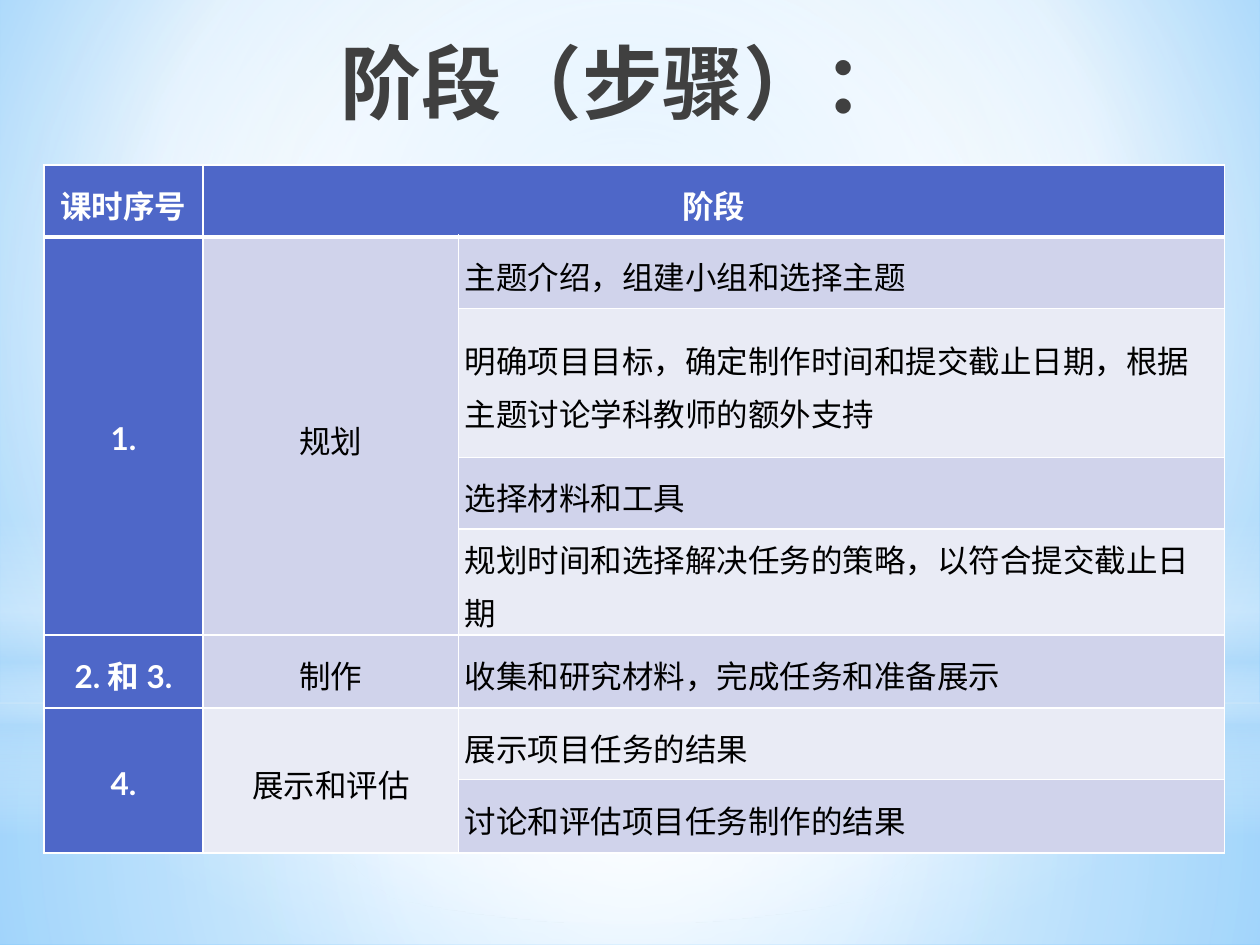
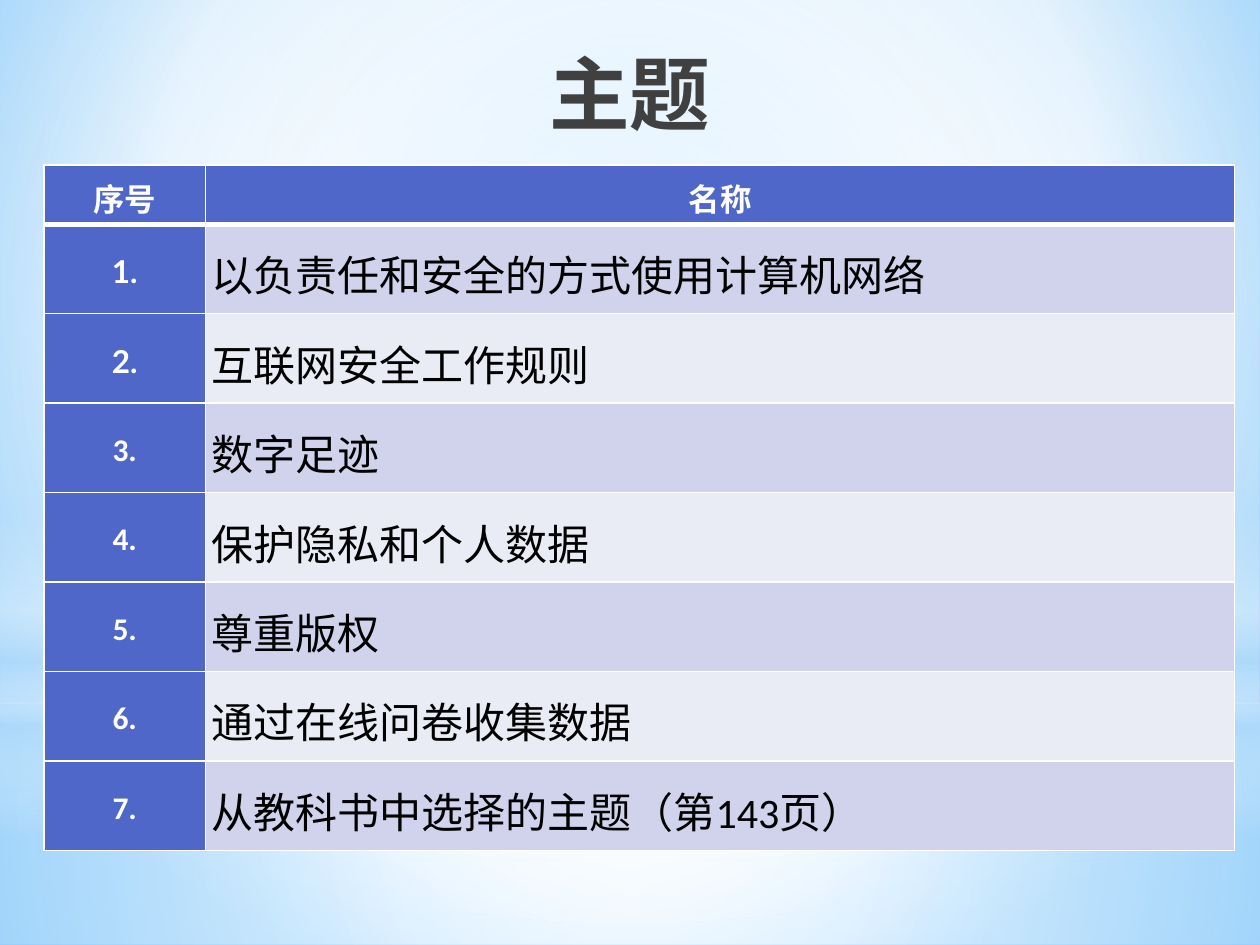
from lxml import etree
from pptx import Presentation
from pptx.enum.shapes import MSO_SHAPE
from pptx.enum.text import MSO_ANCHOR, PP_ALIGN
from pptx.dml.color import RGBColor
from pptx.oxml.ns import qn
from pptx.util import Inches, Pt

RECTANGLE, OVAL = MSO_SHAPE.RECTANGLE, MSO_SHAPE.OVAL
TOP, MIDDLE = MSO_ANCHOR.TOP, MSO_ANCHOR.MIDDLE
LEFT, CENTER = PP_ALIGN.LEFT, PP_ALIGN.CENTER

WIDTH, HEIGHT = 10, 7.5
BLANK_LAYOUT = 6
FIRST_BACKDROP_ID = 101
HEADING_FONT, BODY_FONT = "Lato", "Calibri"
WHITE, BLACK, ACCENT = "FFFFFF", "000000", "4E67C8"
MIST = "B4DCFA"
BANDS = ("E9EBF5", "D0D3EB")
TABLE_LEFT, TABLE_TOP = 0.35, 1.31

CENTERED = (50, 50, 50, 50)
SKY = [(0, "9ED5FF", 100), (60, WHITE, 100), (100, "5BB9FF", 100)]
TITLE_INK = [(0, BLACK, 100), (40, "404040", 100), (100, "212745", 65)]
GROUND = [(0, WHITE, 91), (37, WHITE, 76), (100, MIST, 79)]
HAZE = [(0, WHITE, 89), (48, WHITE, 62), (100, MIST, 79)]
HORIZON = [(0, WHITE, 0), (29, WHITE, 30), (45, MIST, 40),
           (55, WHITE, 26), (65, MIST, 60), (100, WHITE, 0)]
GLOW = [(0, WHITE, 100), (56, WHITE, 0)]

STAGES = [
    ("课时序号", "阶段", None),
    ("1.", "规划", "主题介绍，组建小组和选择主题"),
    (None, None, "明确项目目标，确定制作时间和提交截止日期，根据主题讨论学科教师的额外支持"),
    (None, None, "选择材料和工具"),
    (None, None, "规划时间和选择解决任务的策略，以符合提交截止日期"),
    ("2. 和 3.", "制作", "收集和研究材料，完成任务和准备展示"),
    ("4.", "展示和评估", "展示项目任务的结果"),
    (None, None, "讨论和评估项目任务制作的结果"),
]
STAGE_MERGES = [((0, 1), (0, 2)), ((1, 0), (4, 0)), ((1, 1), (4, 1)),
                ((6, 0), (7, 0)), ((6, 1), (7, 1))]
TOPICS = ["以负责任和安全的方式使用计算机网络", "互联网安全工作规则", "数字足迹",
          "保护隐私和个人数据", "尊重版权", "通过在线问卷收集数据",
          "从教科书中选择的主题（第143页）"]


def color(value):
    return RGBColor.from_string(value)


def add_node(parent, tag, **attributes):
    node = etree.SubElement(parent, qn(tag))
    for name, value in attributes.items():
        node.set(name, str(value))
    return node


def paint_gradient(fill, owner, stops, focus=None):
    fill.gradient()
    gradient = next(owner.iter(qn("a:gradFill")))
    for child in list(gradient):
        gradient.remove(child)
    stop_list = add_node(gradient, "a:gsLst")
    for position, value, opacity in stops:
        stop = add_node(stop_list, "a:gs", pos=position * 1000)
        tint = add_node(stop, "a:srgbClr", val=value)
        if opacity < 100:
            add_node(tint, "a:alpha", val=opacity * 1000)
    if focus:
        route = add_node(gradient, "a:path")
        route.set("path", "circle")
        sides = {side: share * 1000 for side, share in zip("ltrb", focus)}
        add_node(route, "a:fillToRect", **sides)
    else:
        add_node(gradient, "a:lin", ang=5400000, scaled=0)


def build_backdrop(master, slide):
    paint_gradient(master.background.fill, master.element, SKY, (20, 10, 20, 60))
    layers = [
        (RECTANGLE, 0.744, 0.256, GROUND, CENTERED),
        (RECTANGLE, 0, 0.744, HAZE, CENTERED),
        (RECTANGLE, 0.55, 0.333, HORIZON, None),
        (OVAL, 0.233, 0.744, GLOW, CENTERED),
    ]
    for number, (kind, top, height, stops, focus) in enumerate(layers, FIRST_BACKDROP_ID):
        shape = slide.shapes.add_shape(kind, 0, Inches(top * HEIGHT),
                                       Inches(WIDTH), Inches(height * HEIGHT))
        shape.shadow.inherit = False
        shape.line.fill.background()
        paint_gradient(shape.fill, shape.element, stops, focus)
        shape.element.nvSpPr.cNvPr.set("id", str(number))
        master.shapes.element.append(shape.element)


def add_span(para, text, size, font, bold):
    span = para.add_run()
    span.text = text
    span.font.size = Pt(size)
    span.font.name = font
    span.font.bold = bold
    return span


def add_title(slide, text, left, top, width, height):
    box = slide.shapes.add_textbox(Inches(left * WIDTH), Inches(top * HEIGHT),
                                   Inches(width * WIDTH), Inches(height * HEIGHT))
    frame = box.text_frame
    frame.word_wrap = True
    frame.vertical_anchor = TOP
    para = frame.paragraphs[0]
    para.alignment = CENTER
    span = add_span(para, text, 46, HEADING_FONT, True)
    paint_gradient(span.font.fill, box.element, TITLE_INK)


def set_borders(cell, row):
    properties = cell._tc.get_or_add_tcPr()
    widths = {"L": 1, "R": 1, "T": 3 if row == 1 else 1, "B": 3 if row == 0 else 1}
    for side, width in widths.items():
        line = add_node(properties, f"a:ln{side}", w=Pt(width))
        add_node(add_node(line, "a:solidFill"), "a:srgbClr", val=WHITE)


def fill_cell(cell, row, text, size, font, strong, alignment):
    set_borders(cell, row)
    cell.fill.solid()
    cell.fill.fore_color.rgb = color(ACCENT if strong else BANDS[row % 2])
    cell.vertical_anchor = MIDDLE
    cell.margin_left = cell.margin_right = Inches(0.05)
    cell.margin_top = cell.margin_bottom = 0
    para = cell.text_frame.paragraphs[0]
    para.alignment = alignment
    para.line_spacing = 1.15
    if text:
        span = add_span(para, text, size, font, strong)
        span.font.color.rgb = color(WHITE if strong else BLACK)


def add_grid(slide, rows, widths, heights, text_style, merges=()):
    frame = slide.shapes.add_table(len(rows), len(widths), Inches(TABLE_LEFT),
                                   Inches(TABLE_TOP), Inches(sum(widths)),
                                   Inches(sum(heights)))
    table = frame.table
    for column, width in zip(table.columns, widths):
        column.width = Inches(width)
    for line, height in zip(table.rows, heights):
        line.height = Inches(height)
    for row, texts in enumerate(rows):
        for column, text in enumerate(texts):
            strong = row == 0 or column == 0
            size, font = text_style(row, column)
            is_detail = row > 0 and column == len(widths) - 1
            fill_cell(table.cell(row, column), row, text, size, font, strong,
                      LEFT if is_detail else CENTER)
    for first, last in merges:
        table.cell(*first).merge(table.cell(*last))


def stage_style(row, column):
    return 18, HEADING_FONT


def topic_style(row, column):
    if row > 0 and column == 1:
        return 24, BODY_FONT
    return 18, HEADING_FONT if row < 3 else BODY_FONT


def add_stages(slide):
    add_title(slide, "阶段（步骤）：", 0.138, 0.028, 0.712, 0.167)
    heights = [0.57, 0.57, 1.18, 0.57, 0.84, 0.58, 0.57, 0.58]
    add_grid(slide, STAGES, [1.26, 2.03, 6.08], heights, stage_style, STAGE_MERGES)


def add_topics(slide):
    add_title(slide, "主题", 0.05, 0.04, 0.9, 0.116)
    rows = [("序号", "名称")]
    rows += [(f"{number}.", topic) for number, topic in enumerate(TOPICS, 1)]
    add_grid(slide, rows, [1.28, 8.17], [0.47] + [0.71] * len(TOPICS), topic_style)


def main():
    deck = Presentation()
    deck.slide_width, deck.slide_height = Inches(WIDTH), Inches(HEIGHT)
    layout = deck.slide_layouts[BLANK_LAYOUT]
    stages_slide = deck.slides.add_slide(layout)
    build_backdrop(deck.slide_master, stages_slide)
    add_stages(stages_slide)
    add_topics(deck.slides.add_slide(layout))
    deck.save("out.pptx")


if __name__ == "__main__":
    main()
